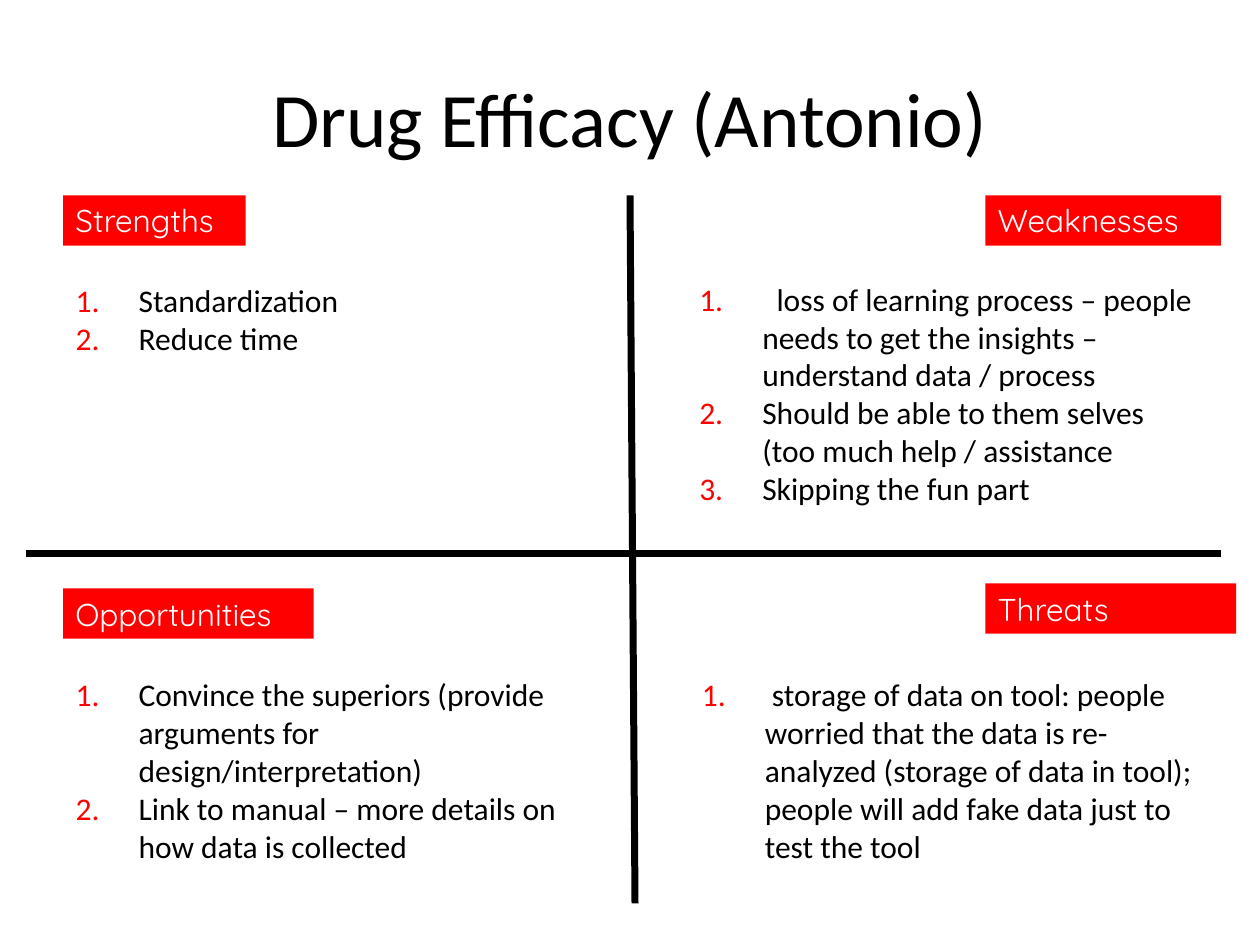
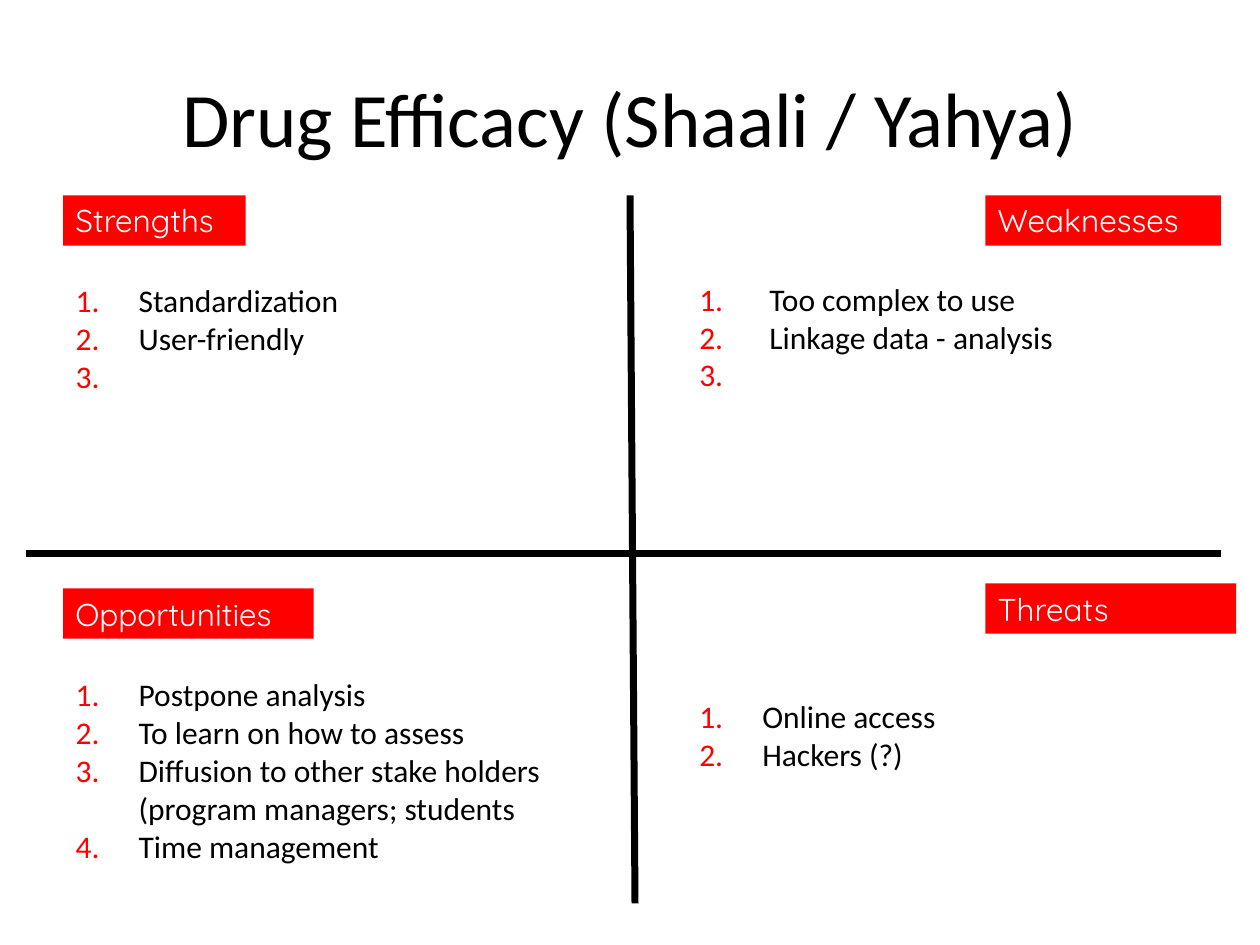
from lxml import etree
from pptx import Presentation
from pptx.dml.color import RGBColor
from pptx.enum.shapes import MSO_CONNECTOR, MSO_SHAPE
from pptx.enum.text import MSO_ANCHOR, MSO_AUTO_SIZE, PP_ALIGN
from pptx.oxml.ns import qn
from pptx.util import Pt

PX = 9144  # EMU in one px, 100 px to the inch
RED = RGBColor(255, 0, 0)
BLACK = RGBColor(0, 0, 0)
WHITE = RGBColor(255, 255, 255)
STRAIGHT, RECT = MSO_CONNECTOR.STRAIGHT, MSO_SHAPE.RECTANGLE
TOP, MIDDLE = MSO_ANCHOR.TOP, MSO_ANCHOR.MIDDLE
LEFT, CENTER = PP_ALIGN.LEFT, PP_ALIGN.CENTER
NO_FIT = MSO_AUTO_SIZE.NONE
INDENT = 50

# Shared by both slides
TITLE_BOX = (50, 30, 900, 125)
AXES = [(500, 155, 504, 717), (21, 439, 969, 439)]
LABELS = [
    ("Strengths", (50, 155, 145, 40)),
    ("Weaknesses", (782, 155, 187, 40)),
    ("Opportunities", (50, 467, 199, 40)),
    ("Threats", (782, 463, 199, 40)),
]

# Title, then the box and items of each quadrant in the order of LABELS
SLIDES = [
    ("Drug Efficacy (Antonio)", [
        ((50, 218, 421, 131), ["Standardization", "Reduce time"]),
        ((545, 217, 421, 192), [
            "  loss of learning process – people needs to get the insights – "
            "understand data / process",
            "Should be able to them selves (too much help / assistance",
            "Skipping the fun part"]),
        ((50, 531, 421, 162), [
            "Convince the superiors (provide arguments for design/interpretation)",
            "Link to manual – more details on how data is collected"]),
        ((547, 531, 421, 162), [
            " storage of data on tool: people worried that the data is re-analyzed "
            "(storage of data in tool); people will add fake data just to test the tool"]),
    ]),
    ("Drug Efficacy (Shaali / Yahya)", [
        ((50, 218, 421, 131), ["Standardization", "User-friendly", " "]),
        ((545, 217, 421, 131), [" Too complex to use", " Linkage data - analysis", " "]),
        ((50, 531, 421, 222), [
            "Postpone analysis",
            "To learn on how to assess",
            "Diffusion to other stake holders (program managers; students",
            "Time management"]),
        ((545, 548, 421, 101), ["Online access", "Hackers (?)"]),
    ]),
]


def write(sp, lines, box, size=18, font="Calibri", color=BLACK, align=LEFT,
          anchor=TOP, numbered=False):
    """Place a shape and fill it with one formatted paragraph per line."""
    sp.left, sp.top, sp.width, sp.height = [v * PX for v in box]
    tf = sp.text_frame
    tf.word_wrap, tf.auto_size, tf.vertical_anchor = True, NO_FIT, anchor
    for i, line in enumerate(lines):
        p = tf.paragraphs[0] if i == 0 else tf.add_paragraph()
        p.alignment, p.space_before = align, Pt(0)
        r = p.add_run()
        r.text = line
        r.font.size, r.font.name, r.font.bold = Pt(size), font, False
        r.font.color.rgb = color
        if numbered:
            pPr = p._p.get_or_add_pPr()
            pPr.set("marL", str(INDENT * PX))
            pPr.set("indent", str(-INDENT * PX))
            clr = etree.SubElement(pPr, qn("a:buClr"))
            etree.SubElement(clr, qn("a:srgbClr"), val=str(RED))
            etree.SubElement(pPr, qn("a:buFont"), typeface="+mj-lt")
            etree.SubElement(pPr, qn("a:buAutoNum"), type="arabicPeriod")


prs = Presentation()
prs.slide_width, prs.slide_height = 1000 * PX, 750 * PX
comparison = prs.slide_layouts[4]  # a title and four bodies

for title, quadrants in SLIDES:
    s = prs.slides.add_slide(comparison)
    write(s.shapes.title, [title], TITLE_BOX, size=44, align=CENTER, anchor=MIDDLE)

    # Cross between the quadrants
    for ends in AXES:
        line = s.shapes.add_connector(STRAIGHT, *[v * PX for v in ends])
        line.line.color.rgb, line.line.width = BLACK, Pt(4)
        etree.SubElement(line._element.spPr, qn("a:effectLst"))

    # Quadrant labels
    for label, box in LABELS:
        sp = s.shapes.add_shape(RECT, *[v * PX for v in box])
        sp.shadow.inherit = False
        sp.fill.solid()
        sp.fill.fore_color.rgb = RED
        sp.line.fill.background()
        write(sp, [label], box, font="Quicksand", color=WHITE)

    # Numbered lists
    for idx, (box, items) in enumerate(quadrants, start=1):
        write(s.placeholders[idx], items, box, numbered=True)

prs.save("out.pptx")
